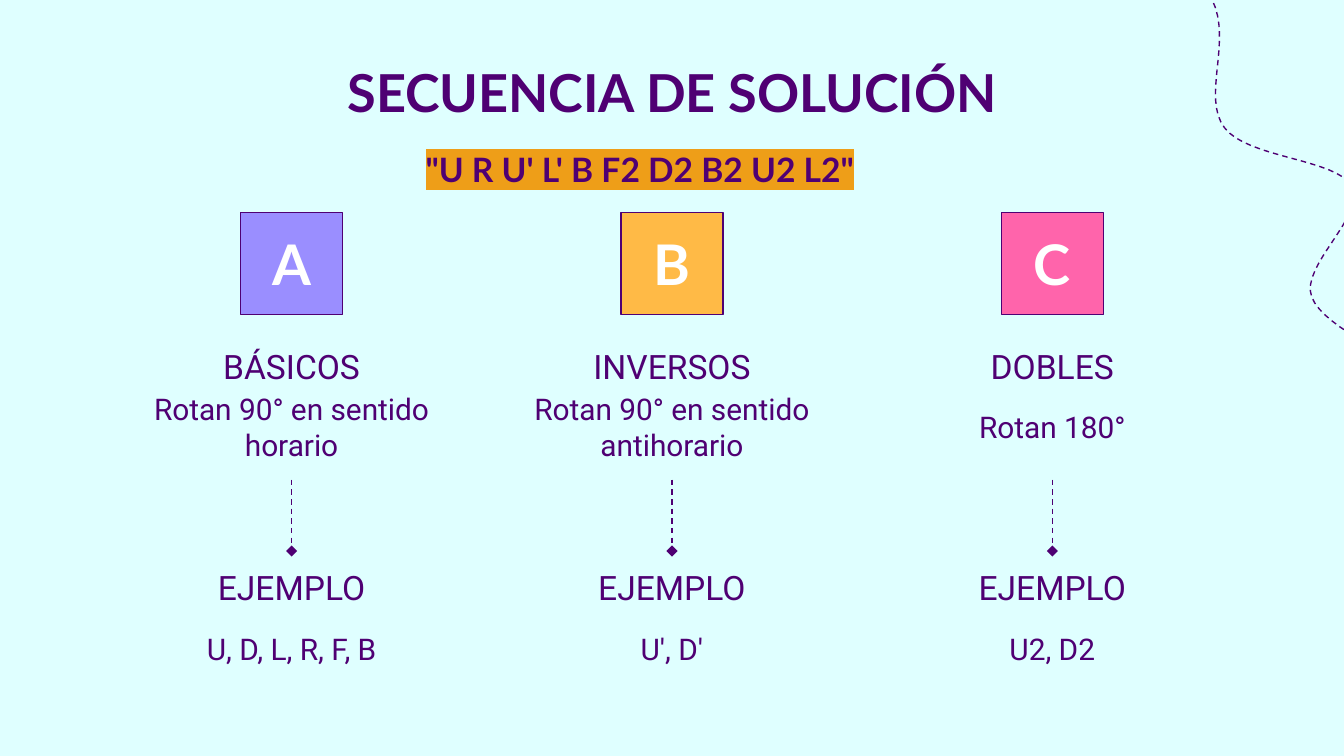
from lxml.etree import SubElement
from pptx import Presentation
from pptx.dml.color import RGBColor
from pptx.enum.dml import MSO_LINE
from pptx.enum.shapes import MSO_CONNECTOR, MSO_SHAPE
from pptx.enum.text import MSO_ANCHOR, PP_ALIGN
from pptx.oxml.ns import qn
from pptx.util import Inches, Pt

PURPLE = RGBColor(0x4F, 0x00, 0x73)
WHITE = RGBColor(0xFF, 0xFF, 0xFF)
AQUA = RGBColor(0xDF, 0xFF, 0xFF)
LILAC = RGBColor(0x9A, 0x8E, 0xFF)
AMBER = RGBColor(0xFF, 0xBA, 0x46)
PINK = RGBColor(0xFF, 0x64, 0xAB)
MARKER = RGBColor(0xEE, 0x9E, 0x18)

TITLE = "SECUENCIA DE SOLUCIÓN"
MOVES = "\"U R U' L' B F2 D2 B2 U2 L2\""
GROUPS = [
    ("A", LILAC, "BÁSICOS", "Rotan 90° en sentido horario", "U, D, L, R, F, B"),
    ("B", AMBER, "INVERSOS", "Rotan 90° en sentido antihorario", "U', D'"),
    ("C", PINK, "DOBLES", "Rotan 180°", "U2, D2"),
]
# Start point, then two handles and an end point for each bend
START = (8.21, -0.87)
BENDS = [
    ((8.34, -0.73), (8.87, -0.3), (9.02, 0)),
    ((9.17, 0.31), (8.94, 0.72), (9.11, 0.95)),
    ((9.28, 1.18), (9.95, 1.18), (10.06, 1.39)),
    ((10.17, 1.6), (9.67, 1.98), (9.76, 2.21)),
    ((9.85, 2.45), (10.46, 2.69), (10.6, 2.79)),
]

WIDTH = 10
HEIGHT = WIDTH * 9 / 16
MID, PITCH = WIDTH / 2, 2.83  # centre column, column spacing
COL, SIDE, HEAD = 2.43, 0.76, 8.42  # widths of text, square, title
SHORT, TALL = 0.42, 0.63  # heights of label and body rows
STEPS = 16

deck = Presentation()
deck.slide_width, deck.slide_height = Inches(WIDTH), Inches(HEIGHT)
slide = deck.slides.add_slide(deck.slide_layouts[6])
slide.background.fill.solid()
slide.background.fill.fore_color.rgb = AQUA
shapes = slide.shapes


def add_text(mid, top, wide, high, text, size,
             face="Roboto", color=PURPLE, anchor=MSO_ANCHOR.MIDDLE):
    """Add a text box centred on mid and return its run."""
    box = shapes.add_textbox(
        Inches(mid - wide / 2), Inches(top), Inches(wide), Inches(high))
    frame = box.text_frame
    frame.word_wrap = True
    frame.vertical_anchor = anchor
    frame.margin_left = frame.margin_right = Inches(0.1)
    frame.margin_top = frame.margin_bottom = Inches(0.1)
    frame.text = text
    line = frame.paragraphs[0]
    line.alignment = PP_ALIGN.CENTER
    run = line.runs[0]
    run.font.name, run.font.size = face, Pt(size)
    run.font.bold = face == "Lato"
    run.font.color.rgb = color
    return run


def highlight(run, color):
    props = run.font._element
    mark = SubElement(props, qn("a:highlight"))
    SubElement(mark, qn("a:srgbClr"), val=str(color))
    props.find(qn("a:solidFill")).addnext(mark)


def stroke(line, dashed=True):
    line.color.rgb = PURPLE
    line.width = Pt(0.75)
    if dashed:
        line.dash_style = MSO_LINE.DASH


def trace(start, bends):
    """Return points along a chain of cubic curves."""
    points = [start]
    for a, b, end in bends:
        first = points[-1]
        for step in range(1, STEPS + 1):
            t = step / STEPS
            u = 1 - t
            points.append(tuple(
                u**3 * p + 3 * u * u * t * q + 3 * u * t * t * r + t**3 * s
                for p, q, r, s in zip(first, a, b, end)))
    return points


def add_curve():
    points = [(Inches(x), Inches(y)) for x, y in trace(START, BENDS)]
    pen = shapes.build_freeform(*points[0])
    pen.add_line_segments(points[1:], close=False)
    curve = pen.convert_to_shape()
    curve.shadow.inherit = False
    curve.fill.background()
    stroke(curve.line)


def add_square(mid, color):
    square = shapes.add_shape(
        MSO_SHAPE.RECTANGLE, Inches(mid - SIDE / 2), Inches(1.58),
        Inches(SIDE), Inches(SIDE))
    square.shadow.inherit = False
    square.fill.solid()
    square.fill.fore_color.rgb = color
    stroke(square.line, dashed=False)


def add_drop(mid):
    """Draw the dashed line that ends in a diamond."""
    drop = shapes.add_connector(
        MSO_CONNECTOR.STRAIGHT, Inches(mid), Inches(3.57), Inches(mid), Inches(4.1))
    stroke(drop.line)
    SubElement(drop.line._get_or_add_ln(), qn("a:tailEnd"), type="diamond")
    SubElement(drop._element.spPr, qn("a:effectLst"))


add_curve()
add_text(MID, 0.35, HEAD, TALL, TITLE, 28, face="Lato", anchor=MSO_ANCHOR.TOP)

for col, (letter, color, name, turn, sample) in enumerate(GROUPS):
    mid = MID + (col - 1) * PITCH
    add_square(mid, color)
    add_text(mid, 1.75, 0.8, SHORT, letter, 30, face="Lato", color=WHITE)
    for top, label, body in ((2.51, name, turn), (4.16, "EJEMPLO", sample)):
        add_text(mid, top, COL, SHORT, label, 18)
        add_text(mid, top + 0.35, COL, TALL, body, 16)
    add_drop(mid)

moves = add_text(MID - 0.24, 1.01, HEAD, TALL, MOVES, 18,
                 face="Lato", anchor=MSO_ANCHOR.TOP)
highlight(moves, MARKER)

deck.save("out.pptx")
